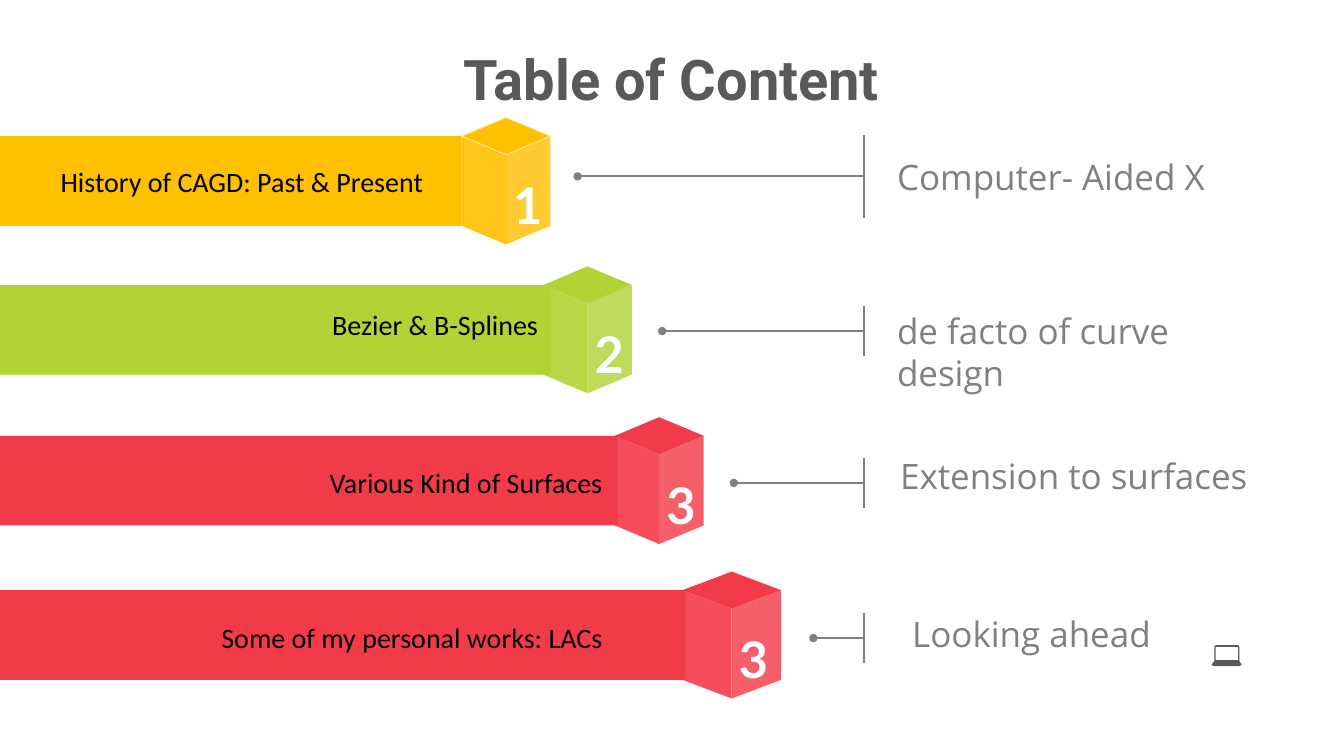
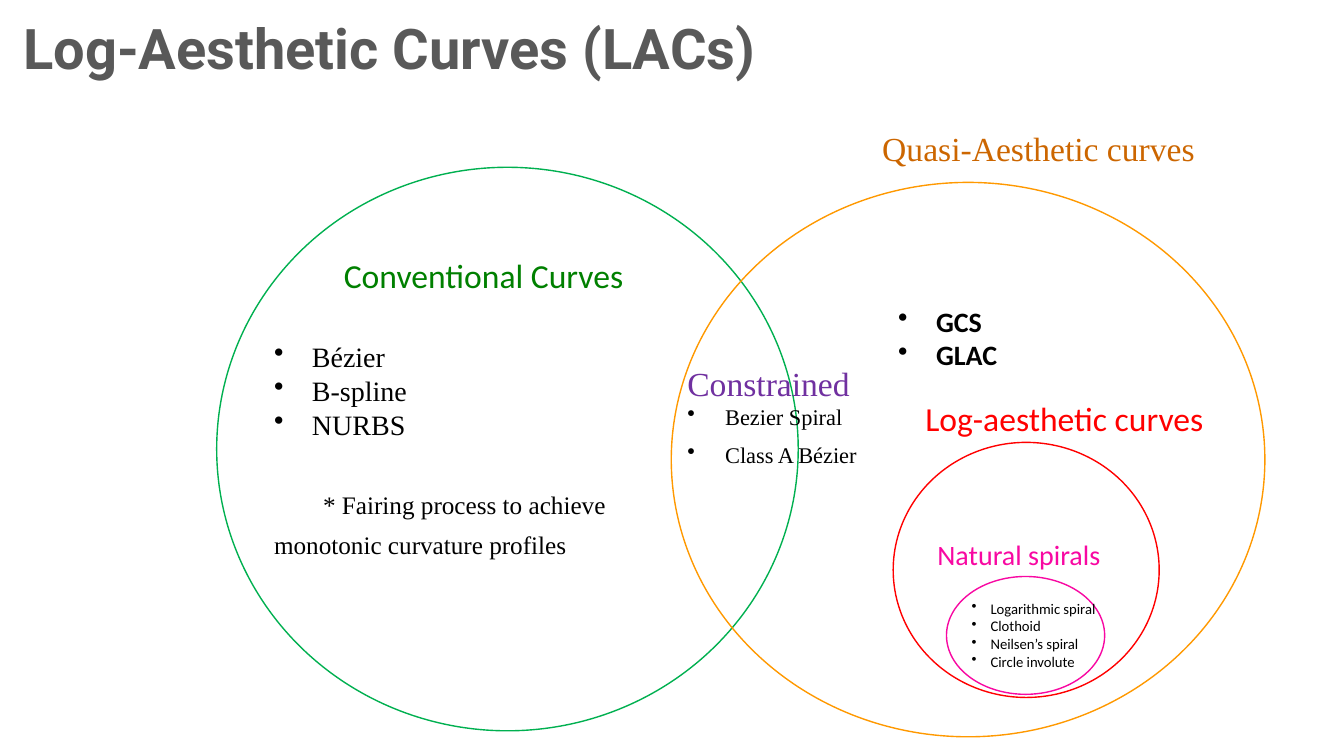
from typing import NamedTuple

from lxml.etree import SubElement
from pptx import Presentation
from pptx.dml.color import RGBColor
from pptx.enum.shapes import MSO_CONNECTOR as Link, MSO_SHAPE as Kind
from pptx.enum.text import MSO_ANCHOR as Anchor, PP_ALIGN as Align
from pptx.oxml.ns import qn
from pptx.util import Pt

BLACK = RGBColor(0x00, 0x00, 0x00)
WHITE = RGBColor(0xFF, 0xFF, 0xFF)
DARK = RGBColor(0x59, 0x59, 0x59)
GREY = RGBColor(0x80, 0x80, 0x80)
GOLD = RGBColor(0xFF, 0xC0, 0x00)
CREAM = RGBColor(0xFF, 0xE6, 0x99)
LIME = RGBColor(0xB2, 0xD2, 0x35)
CORAL = RGBColor(0xF2, 0x3B, 0x48)
LEAF = RGBColor(0x00, 0xB0, 0x50)
GREEN = RGBColor(0x00, 0x80, 0x00)
AMBER = RGBColor(0xFF, 0x99, 0x00)
RUST = RGBColor(0xCC, 0x66, 0x00)
VIOLET = RGBColor(0x70, 0x30, 0xA0)
RED = RGBColor(0xFF, 0x00, 0x00)
PINK = RGBColor(0xF8, 0x08, 0xA2)

SANS, SERIF, HEAD = "Calibri", "Times New Roman", "Roboto"
DIGIT, TOPIC = "Lato", "Open Sans"
SLOPE = 13.3
TALL = 90.6


class Row(NamedTuple):
    """One entry of the contents, with its places in points."""
    digit: str
    label: str
    topic: str
    hue: RGBColor
    rim: RGBColor | None
    cube: tuple
    band: float
    note: tuple
    text: tuple
    bar: tuple
    dot: float


ROWS = [
    Row("1", "History of CAGD: Past & Present", "Computer- Aided X", GOLD, CREAM,
        (329.8, 84, 63.4), 329.8, (113.8, 288), (640.8, 110.9, 245), (96.5, 59), 412.6),
    Row("2", "Bezier & B-Splines", "de facto of curve design", LIME, None,
        (388, 190.3, 63.4), 393.1, (216, 370), (640.8, 221, 269), (218.5, 36), 473),
    Row("3", "Various Kind of Surfaces", "Extension to surfaces", CORAL, None,
        (439.2, 298, 63.4), 441.4, (329, 416), (643, 324.7, 289), (326.9, 36), 524.2),
    Row("3", "Some of my personal works: LACs", "Looking ahead", CORAL, None,
        (487.4, 408.3, 70.6), 489.6, (439.2, 416), (651.6, 437.8, 212), (437.8, 36), 581),
]


def place(box):
    """Turn a box in points into lengths."""
    return [Pt(n) for n in box]


def frame(shapes, box, inset=3.6, wrap=True):
    """Add an empty text box and return its frame."""
    area = shapes.add_textbox(*place(box)).text_frame
    area.word_wrap = wrap
    area.margin_left = area.margin_right = Pt(inset)
    area.margin_top = area.margin_bottom = Pt(inset)
    return area


def style(para, face, size, hue, bold=False):
    """Set the font of a paragraph."""
    font = para.font
    font.name, font.size, font.bold = face, Pt(size), bold
    font.color.rgb = hue


def write(area, text, face, size, hue, bold=False, hang=0):
    """Add a paragraph, with a bullet when it hangs."""
    para = area.paragraphs[0]
    if para.runs:
        para = area.add_paragraph()
    para.text = text
    if hang:
        props = para._p.get_or_add_pPr()
        props.set("marL", str(Pt(hang)))
        props.set("indent", str(-Pt(hang)))
        SubElement(props, qn("a:buChar")).set("char", "•")
    style(para, face, size, hue, bold)
    return para


def heading(slide, text, box, align):
    """Move and format the title."""
    title = slide.shapes.title
    title.left, title.top, title.width, title.height = place(box)
    area = title.text_frame
    area.word_wrap = True
    area.vertical_anchor = Anchor.MIDDLE
    area.margin_left = area.margin_right = Pt(3.6)
    area.margin_top = area.margin_bottom = Pt(3.6)
    para = area.paragraphs[0]
    para.text = text
    para.alignment = align
    para.line_spacing = 0.9
    style(para, HEAD, 40, DARK, True)


def paint(shape, hue, rim=None, alpha=100):
    """Fill a shape, perhaps with a rim or see-through."""
    shape.shadow.inherit = False
    shape.fill.solid()
    shape.fill.fore_color.rgb = hue
    if alpha < 100:
        tone = shape.element.spPr.find(".//" + qn("a:srgbClr"))
        SubElement(tone, qn("a:alpha")).set("val", str(alpha * 1000))
    if rim is None:
        shape.line.fill.background()
    else:
        shape.line.color.rgb = rim
        shape.line.width = Pt(0.75)


def outline(shapes, left, top, *loops):
    """Build a closed outline from loops of points."""
    loops = [[(Pt(left + x), Pt(top + y)) for x, y in loop] for loop in loops]
    pen = shapes.build_freeform(*loops[0][0], scale=1.0)
    pen.add_line_segments(loops[0][1:], close=True)
    for loop in loops[1:]:
        pen.move_to(*loop[0])
        pen.add_line_segments(loop[1:], close=True)
    return pen.convert_to_shape()


def rule(shapes, start, end, dot=False):
    """Draw a grey line, perhaps with a dot at its end."""
    link = shapes.add_connector(Link.STRAIGHT, *place(start + end))
    link.line.color.rgb = GREY
    link.line.width = Pt(1.5)
    props = link.element.spPr
    if dot:
        SubElement(props.find(qn("a:ln")), qn("a:tailEnd")).set("type", "oval")
    SubElement(props, qn("a:effectLst"))


def ribbon(slide, row):
    """Draw the band and the numbered cube of a row."""
    shapes = slide.shapes.add_group_shape().shapes
    left, top, wide = row.cube
    mid = wide / 2
    low = TALL - SLOPE
    band = shapes.add_shape(
        Kind.RECTANGLE, *place((0, top + SLOPE, row.band, low - SLOPE)))
    paint(band, row.hue)
    for edge, alpha in ((0, 90), (wide, 81)):
        side = [(mid, TALL), (edge, low), (edge, SLOPE), (mid, 2 * SLOPE)]
        paint(outline(shapes, left, top, side), row.hue, alpha=alpha)
    lid = [(mid, 2 * SLOPE), (wide, SLOPE), (mid, 0), (0, SLOPE)]
    paint(outline(shapes, left, top, lid), row.hue, row.rim)
    area = frame(shapes, (left + mid + 1.5, top + 37, mid - 3.5, 50), wrap=False)
    write(area, row.digit, DIGIT, 36, WHITE, True)


def pointer(slide, row):
    """Draw the bar of a row and the stem that leads to it."""
    shapes = slide.shapes.add_group_shape().shapes
    top, tall = row.bar
    rule(shapes, (617, top + tall), (617, top))
    rule(shapes, (617, top + tall / 2), (row.dot, top + tall / 2), True)


def entry(slide, row):
    """Place all parts of a contents row."""
    ribbon(slide, row)
    top, wide = row.note
    area = frame(slide.shapes, (18, top, wide, 31.7))
    area.vertical_anchor = Anchor.MIDDLE
    write(area, row.label, SANS, 20, BLACK).alignment = Align.RIGHT
    pointer(slide, row)
    area = frame(slide.shapes, (*row.text, 30.2), 0)
    write(area, row.topic, TOPIC, 25, GREY)


def laptop(slide, left, top):
    """Draw the small laptop."""
    case = [(0, 14), (1.5, 15), (20, 15), (21.6, 14), (20, 11.5), (20, 1),
            (19, 0), (3, 0), (2, 1), (2, 11.5)]
    glass = [(3, 1.3), (19, 1.3), (19, 10.7), (3, 10.7)]
    paint(outline(slide.shapes, left, top, case, glass), DARK)


def contents(slide):
    """Fill the contents slide."""
    heading(slide, "Table of Content", (119.5, 33.1, 720, 51), Align.CENTER)
    for row in ROWS:
        entry(slide, row)
    laptop(slide, 865.4, 460.8)


def ring(slide, box, hue):
    """Draw an empty ellipse."""
    oval = slide.shapes.add_shape(Kind.OVAL, *place(box))
    oval.shadow.inherit = False
    oval.fill.background()
    oval.line.color.rgb = hue
    oval.line.width = Pt(1)


def caption(slide, text, box, face, size, hue):
    """Write the name of a set."""
    write(frame(slide.shapes, box), text, face, size, hue)


def usual(slide, box):
    """List the conventional curves and their remark."""
    area = frame(slide.shapes, box)
    for name in ("Bézier", "B-spline", "NURBS"):
        write(area, name, SERIF, 20, BLACK, hang=27).line_spacing = Pt(24.3)
    text = "* Fairing process to achieve monotonic curvature profiles"
    para = write(area, text, SERIF, 18, BLACK)
    para._p.get_or_add_pPr().set("indent", str(Pt(35)))
    para.line_spacing = Pt(28.6)
    para.space_before = Pt(28)


def shared(slide, box):
    """List the curves where the two large sets meet."""
    area = frame(slide.shapes, box)
    write(area, "Constrained", SERIF, 24, VIOLET)
    write(area, "Bezier Spiral", SERIF, 16, BLACK, hang=27)
    para = write(area, "Class A Bézier", SERIF, 16, BLACK, hang=27)
    para.space_before = Pt(8)


def listing(slide, names, box, size, hang, bold=False):
    """Write a plain bullet list."""
    area = frame(slide.shapes, box)
    for name in names:
        write(area, name, SANS, size, BLACK, bold, hang)


def curves(slide):
    """Fill the slide of curve families."""
    heading(slide, "Log-Aesthetic Curves (LACs)", (13, 11.5, 720, 51), Align.LEFT)
    for box, hue in (
        ((154.8, 119.5, 415.4, 402.5), LEAF),
        ((479.5, 130.3, 424, 396), AMBER),
        ((638, 316, 190, 182.2), RED),
        ((676.1, 411.8, 113, 84.2), PINK),
    ):
        ring(slide, box, hue)
    for text, box, face, size, hue in (
        ("Conventional Curves", (242, 178.6, 242, 35.3), SANS, 24, GREEN),
        ("Quasi-Aesthetic curves", (626.6, 88, 280, 36), SERIF, 24, RUST),
        ("Log-aesthetic curves", (657.4, 280.8, 227, 36), SANS, 24, RED),
        ("Natural spirals", (666, 380.2, 133, 31.7), SANS, 20, PINK),
    ):
        caption(slide, text, box, face, size, hue)
    usual(slide, (192.2, 238.3, 275.8, 167))
    shared(slide, (487.4, 255.6, 211, 85))
    listing(slide, ("GCS", "GLAC"), (638, 213.8, 174, 55.4), 20, 27, True)
    spirals = ("Logarithmic spiral", "Clothoid", "Neilsen’s spiral", "Circle involute")
    listing(slide, spirals, (690.5, 424.8, 121.7, 58.3), 10.5, 13.5)


def main():
    """Build both slides and save them."""
    deck = Presentation()
    deck.slide_width, deck.slide_height = Pt(960), Pt(540)
    for fill in (contents, curves):
        fill(deck.slides.add_slide(deck.slide_layouts[5]))
    deck.save("out.pptx")


if __name__ == "__main__":
    main()
